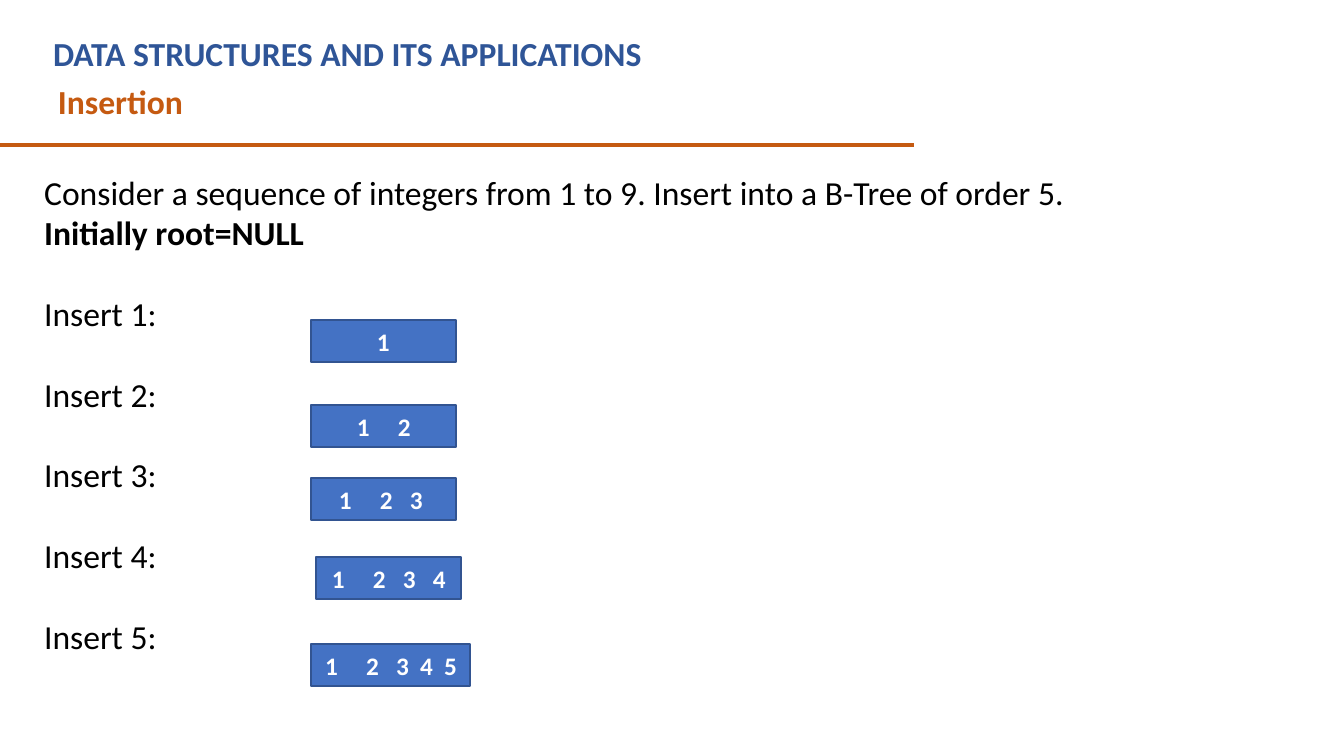
from pptx import Presentation, util as u
from pptx.dml.color import RGBColor
from pptx.enum import shapes, text
from pptx.oxml import parse_xml
from pptx.oxml.ns import nsdecls

BLUE = RGBColor(0x2F, 0x55, 0x97)
RUST = RGBColor(0xC5, 0x5A, 0x11)
FILL = RGBColor(0x44, 0x72, 0xC4)
EDGE = RGBColor(0x32, 0x54, 0x91)
WHITE = RGBColor(0xFF, 0xFF, 0xFF)
BLACK = RGBColor(0, 0, 0)

SCALE = 914400 / 100.8
LINE = 28.8


def px(n):
    return u.Emu(round(n * SCALE))


class Page:
    font = "Calibri"
    size = 24

    def __init__(self, deck):
        self.slide = deck.slides.add_slide(deck.slide_layouts[1])

    def place(self, shape, x, y, w, h):
        shape.left, shape.top = px(x), px(y)
        shape.width, shape.height = px(w), px(h)
        frame = shape.text_frame
        frame.word_wrap = True
        frame.auto_size = text.MSO_AUTO_SIZE.NONE
        frame.vertical_anchor = text.MSO_ANCHOR.TOP
        return frame

    def style(self, para, color, bold, size=size):
        para.alignment = text.PP_ALIGN.LEFT
        for run in para.runs:
            font = run.font
            font.name, font.size = self.font, u.Pt(size)
            font.bold, font.color.rgb = bold, color

    def title(self, words, *area):
        frame = self.place(self.slide.shapes.title, *area)
        frame.text = words
        self.style(frame.paragraphs[0], BLUE, True)

    def label(self, words, *area):
        frame = self.place(self.slide.shapes.add_textbox(0, 0, 0, 0), *area)
        frame.text = words
        self.style(frame.paragraphs[0], RUST, True)

    def body(self, lines, *area):
        frame = self.place(self.slide.placeholders[1], *area)
        frame.text = "\n".join(words for words, bold, gap in lines)
        for para, (words, bold, gap) in zip(frame.paragraphs, lines):
            props = para._p.get_or_add_pPr()
            props.set("marL", "0")
            props.set("indent", "0")
            props.append(parse_xml(f"<a:buNone {nsdecls('a')}/>"))
            para.line_spacing = u.Pt(LINE)
            para.space_before = u.Pt(gap)
            self.style(para, BLACK, bold)

    def rule(self, x, y, end):
        line = self.slide.shapes.add_connector(
            shapes.MSO_CONNECTOR.STRAIGHT, px(x), px(y), px(end), px(y))
        line.line.color.rgb = RUST
        line.line.width = u.Pt(3)
        line._element.spPr.append(parse_xml(f"<a:effectLst {nsdecls('a')}/>"))

    def node(self, x, y, w, lead, stops):
        box = self.slide.shapes.add_shape(shapes.MSO_SHAPE.RECTANGLE, 0, 0, 0, 0)
        box.shadow.inherit = False
        box.fill.solid()
        box.fill.fore_color.rgb = FILL
        box.line.color.rgb = EDGE
        box.line.width = u.Pt(1)
        frame = self.place(box, x, y, w, 42)
        frame.vertical_anchor = text.MSO_ANCHOR.MIDDLE
        frame.margin_left, frame.margin_right = px(lead), 0
        frame.text = "\t".join(str(key + 1) for key in range(len(stops) + 1))
        para = frame.paragraphs[0]
        tabs = "".join(f'<a:tab pos="{px(stop)}" algn="l"/>' for stop in stops)
        if tabs:
            para._p.get_or_add_pPr().append(
                parse_xml(f"<a:tabLst {nsdecls('a')}>{tabs}</a:tabLst>"))
        self.style(para, WHITE, True, 18)


def main():
    deck = Presentation()
    deck.slide_width, deck.slide_height = px(1344), px(756)
    page = Page(deck)
    page.label("Insertion", 48, 76, 827, 51)
    page.rule(-1, 145, 914)
    page.title("DATA STRUCTURES AND ITS APPLICATIONS", 43, 28, 827, 51)
    intro = [
        ("Consider a sequence of integers from 1 to 9. Insert into a B-Tree of order 5.", False, 0),
        ("Initially root=NULL", True, 0),
    ]
    steps = [(f"Insert {key}:", False, LINE) for key in range(1, 6)]
    page.body(intro + steps, 34, 167, 1113, 499)
    nodes = [
        (311, 320, 145, 66, []),
        (311, 405, 145, 46, [41]),
        (311, 478, 145, 28, [41, 71]),
        (316, 557, 145, 16, [41, 71, 101]),
        (311, 644, 159, 14, [41, 71, 95, 119]),
    ]
    for node in nodes:
        page.node(*node)
    deck.save("out.pptx")


if __name__ == "__main__":
    main()
